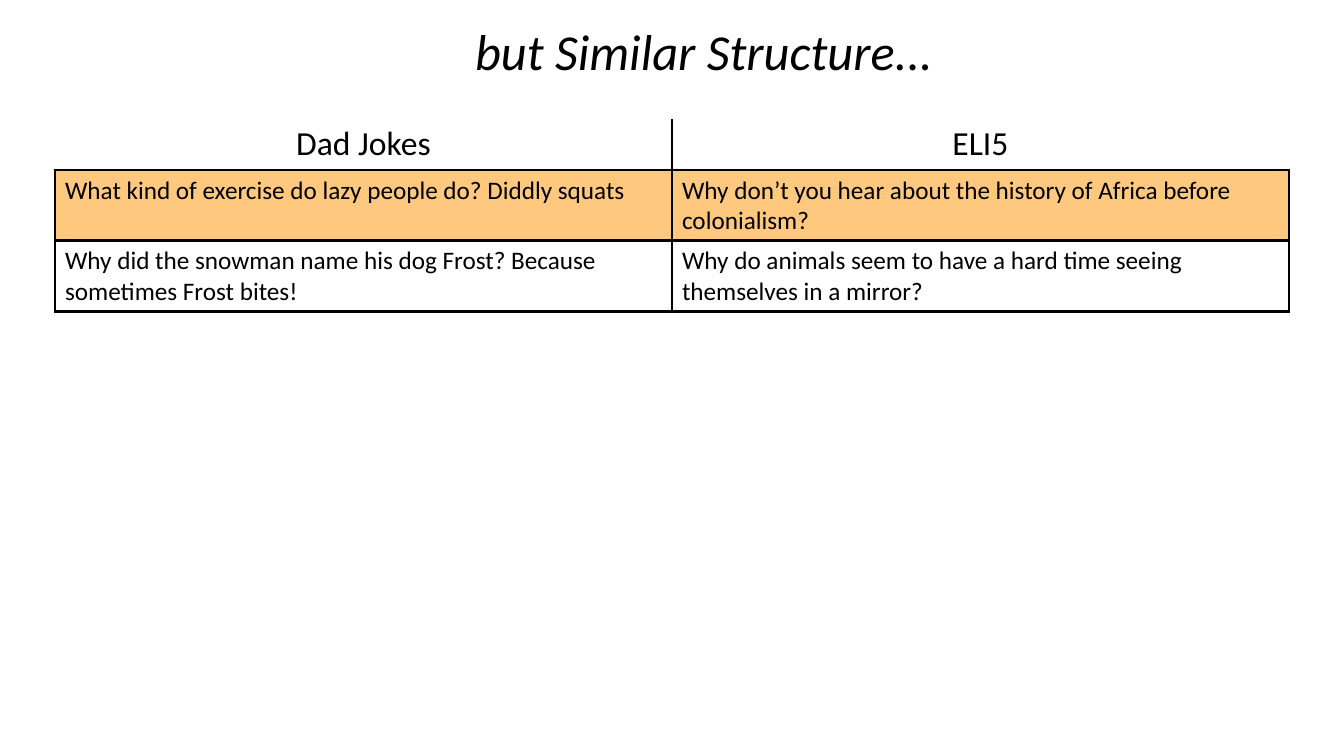
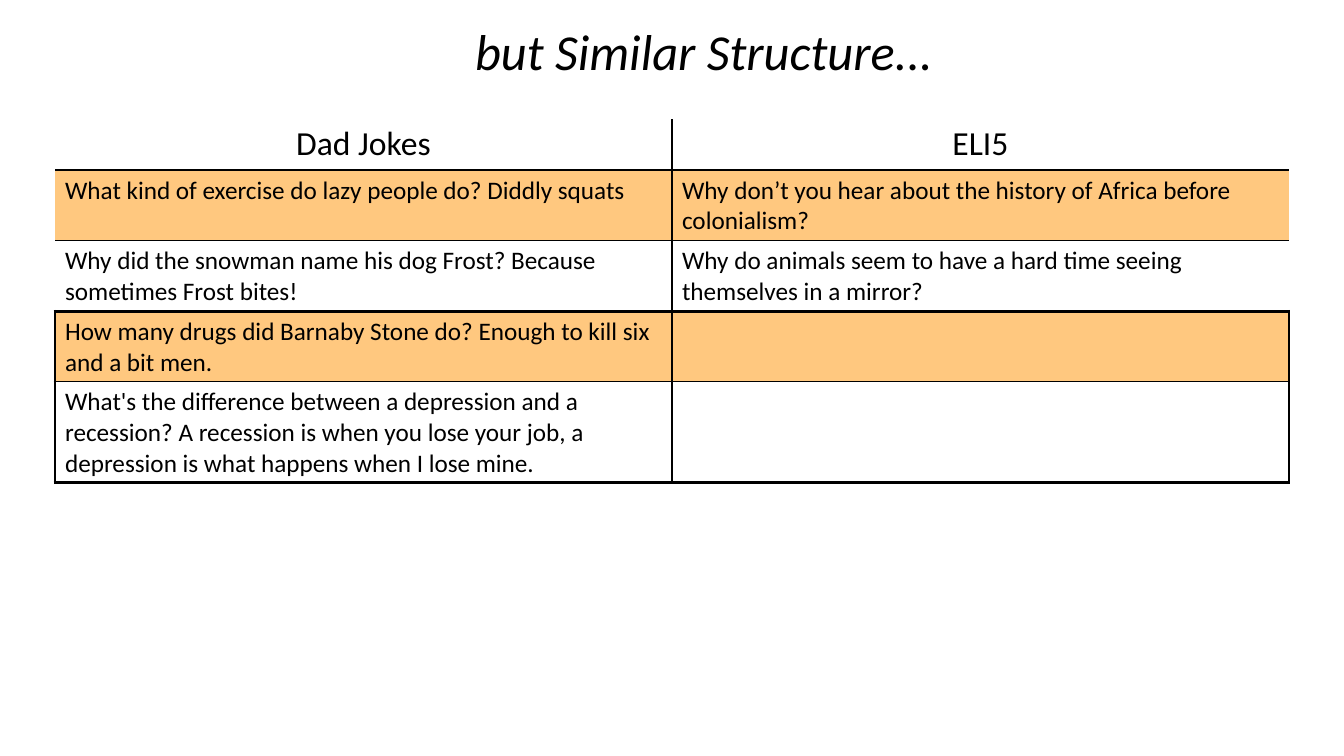
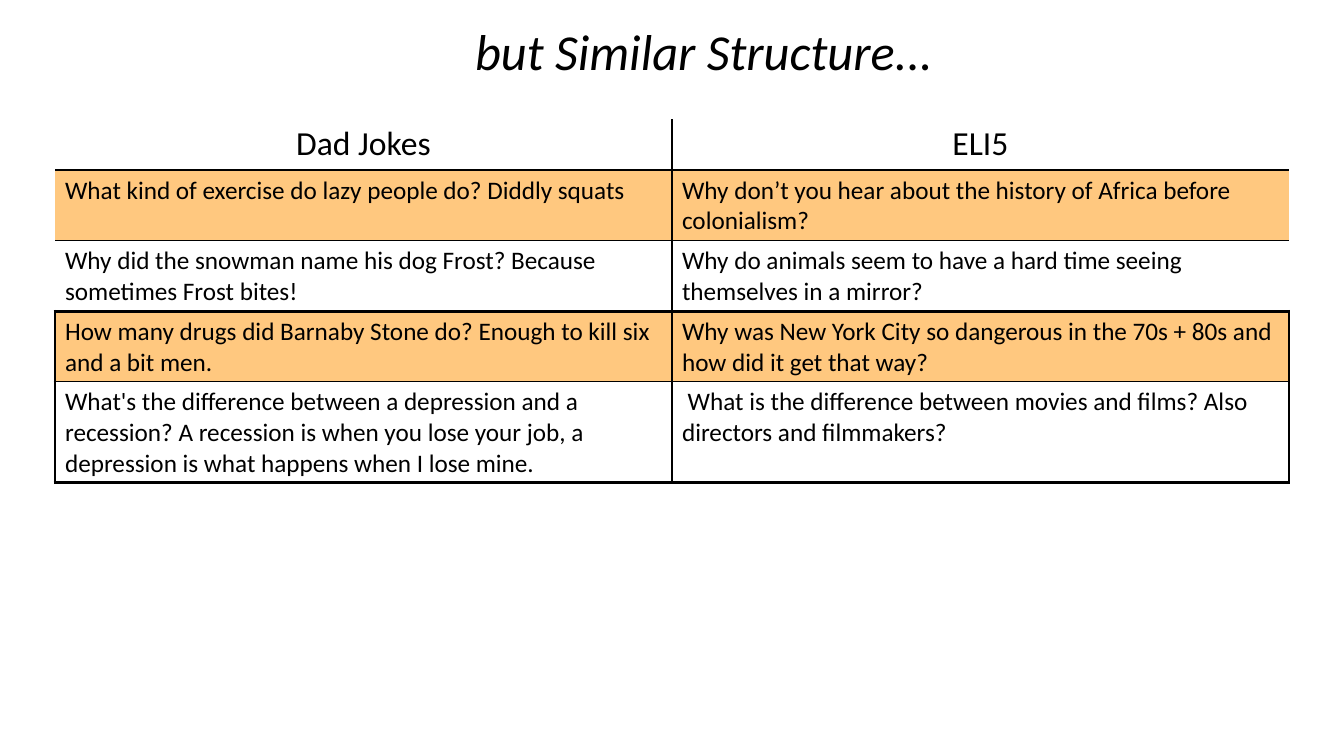
import lxml.etree
import pptx
import pptx.dml.color
import pptx.enum.text
import pptx.oxml.ns
import pptx.util

PX_PER_INCH = 100.8
FONT = "Calibri"
BLACK, ORANGE = "000000", "FF9300"
THICK, THIN, NONE = 2.25, 1, 0
TITLE = "but Similar Structure..."
TITLE_BOX = (465, 15, 483, 72)
TABLE_BOX = (55, 119, 1234)
HEADER_HEIGHT, LINE_HEIGHT, CELL_PADDING = 51, 30, 10
LEFT, CENTER = pptx.enum.text.PP_ALIGN.LEFT, pptx.enum.text.PP_ALIGN.CENTER

HEADINGS = ("Dad Jokes", "ELI5")
FIRST_PAIRS = [
    ("What kind of exercise do lazy people do? Diddly squats",
     "Why don’t you hear about the history of Africa before colonialism?"),
    ("Why did the snowman name his dog Frost? Because sometimes Frost bites!",
     "Why do animals seem to have a hard time seeing themselves in a mirror?"),
]
MORE_JOKES = (
    "How many drugs did Barnaby Stone do? Enough to kill six and a bit men.",
    "What's the difference between a depression and a recession? A recession is when "
    "you lose your job, a depression is what happens when I lose mine.",
)
MORE_QUESTIONS = (
    "Why was New York City so dangerous in the 70s + 80s and how did it get that way?",
    " What is the difference between movies and films? Also directors and filmmakers?",
)


def emu(px):
    """Turn a length in px into EMU."""
    return pptx.util.Emu(round(px * 914400 / PX_PER_INCH))


def color(value):
    """Turn a hex string into a colour."""
    return pptx.dml.color.RGBColor.from_string(value)


def add_element(parent, tag, **attributes):
    """Append a DrawingML element to its parent."""
    element = lxml.etree.SubElement(parent, pptx.oxml.ns.qn(tag))
    for name, value in attributes.items():
        element.set(name, str(value))
    return element


def write(frame, text, size, align=LEFT, italic=False):
    """Write one formatted run into the first paragraph of a frame."""
    para = frame.paragraphs[0]
    para.alignment = align
    span = para.add_run()
    span.text = text
    span.font.name = FONT
    span.font.size = pptx.util.Pt(size)
    span.font.italic = italic
    span.font.color.rgb = color(BLACK)


def set_borders(cell, left, right, top, bottom):
    """Draw the four edges of a cell with the given widths in points."""
    properties = cell._tc.get_or_add_tcPr()
    for side, width in zip("LRTB", (left, right, top, bottom)):
        line = add_element(properties, "a:ln" + side, w=int(pptx.util.Pt(width)))
        if width:
            fill = add_element(line, "a:solidFill")
            add_element(fill, "a:srgbClr", val=BLACK)
        else:
            add_element(line, "a:noFill")


def set_fill(cell, shaded):
    """Give a cell the half-transparent band colour or no fill."""
    if not shaded:
        cell.fill.background()
        return
    cell.fill.solid()
    cell.fill.fore_color.rgb = color(ORANGE)
    band = cell._tc.tcPr.find(pptx.oxml.ns.qn("a:solidFill"))
    add_element(band[0], "a:alpha", val=50000)


def place_title(page, box):
    """Place the italic slide title in its box."""
    title = page.shapes.title
    title.left, title.top, title.width, title.height = map(emu, box)
    frame = title.text_frame
    frame.word_wrap = False
    frame.auto_size = pptx.enum.text.MSO_AUTO_SIZE.SHAPE_TO_FIT_TEXT
    frame.vertical_anchor = pptx.enum.text.MSO_ANCHOR.TOP
    write(frame, TITLE, 36, italic=True)


def place_table(page, box, pairs, rules, outlined):
    """Place the two-column comparison, outlining the sides of the given rows."""
    left, top, width = box
    heights = [HEADER_HEIGHT] + [
        CELL_PADDING + LINE_HEIGHT * (3 if len(joke) > 100 else 2) for joke, _ in pairs]
    frame = page.shapes.add_table(
        len(heights), 2, emu(left), emu(top), emu(width), emu(sum(heights)))
    table = frame.table
    table.first_row = table.horz_banding = False
    for column in table.columns:
        column.width = emu(width / 2)
    for index, texts in enumerate([HEADINGS] + pairs):
        table.rows[index].height = emu(heights[index])
        side = THICK if index in outlined else NONE
        above = rules[index - 1] if index else NONE
        edges = ((side, THIN), (THIN, side))
        for cell, text, (start, end) in zip(table.rows[index].cells, texts, edges):
            set_borders(cell, start, end, above, rules[index])
            set_fill(cell, index % 2 == 1)
            if text:
                write(cell.text_frame, text, 18 if index else 24,
                      LEFT if index else CENTER)


def add_comparison(deck, pairs, rules, outlined):
    """Add a slide with the title and the comparison table."""
    page = deck.slides.add_slide(deck.slide_layouts[5])
    place_title(page, TITLE_BOX)
    place_table(page, TABLE_BOX, pairs, rules, outlined)


def main():
    """Build and save the deck."""
    deck = pptx.Presentation()
    deck.slide_width, deck.slide_height = emu(1344), emu(756)
    add_comparison(deck, FIRST_PAIRS, (THICK, THICK, THICK), (1, 2))
    for questions in (("", ""), MORE_QUESTIONS):
        pairs = FIRST_PAIRS + list(zip(MORE_JOKES, questions))
        add_comparison(deck, pairs, (THIN, THIN, THICK, THIN, THICK), (3, 4))
    deck.save("out.pptx")


if __name__ == "__main__":
    main()
